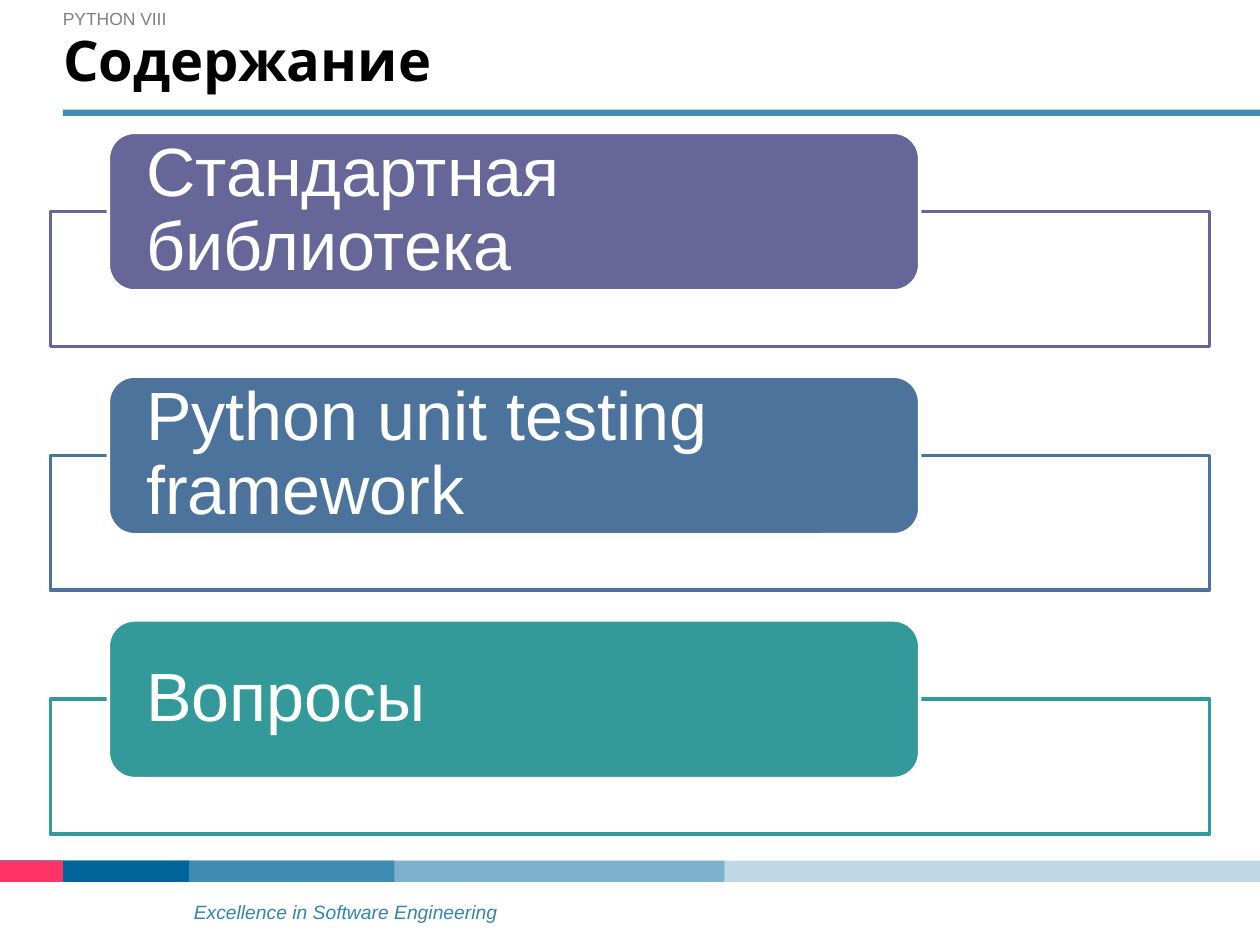
from pptx import Presentation
from pptx.dml.color import RGBColor as Rgb
from pptx.enum.shapes import MSO_SHAPE as Geo
from pptx.enum.text import MSO_ANCHOR as Anchor, PP_ALIGN as Align
from pptx.util import Inches, Pt

HUES = {
    "white": "FFFFFF", "black": "000000", "gray": "808080",
    "violet": "666699", "blue": "4B739B", "teal": "339999",
    "rule": "408CB3", "motto": "3385AD", "red": "FF3366", "navy": "006699",
    "mid": "3F8CB2", "light": "7EB2CC", "pale": "BFD9E6",
}
TOPICS = [
    ("Стандартная библиотека", "violet"),
    ("Python unit testing framework", "blue"),
    ("Вопросы", "teal"),
]
BANDS = [(10, "pale"), (5.75, "light"), (3.13, "mid"), (1.5, "navy"), (0.5, "red")]


def write(shape, text, size, hue, font="Arial", bold=False, italic=False,
          pads=(0.1, 0.05, 0.1, 0.05), anchor=Anchor.TOP, lead=None):
    frame = shape.text_frame
    frame.word_wrap = True
    frame.vertical_anchor = anchor
    (frame.margin_left, frame.margin_top,
     frame.margin_right, frame.margin_bottom) = [Inches(pad) for pad in pads]
    para = frame.paragraphs[0]
    para.alignment = Align.LEFT
    para.line_spacing = lead
    run = para.add_run()
    run.text = text
    face = run.font
    face.name, face.size, face.bold, face.italic = font, Pt(size), bold, italic
    face.color.rgb = Rgb.from_string(HUES[hue])


def block(slide, box, fill, line=None, kind=Geo.RECTANGLE):
    shape = slide.shapes.add_shape(kind, *[Inches(val) for val in box])
    shape.shadow.inherit = False
    shape.fill.solid()
    shape.fill.fore_color.rgb = Rgb.from_string(HUES[fill])
    if line:
        shape.line.color.rgb = Rgb.from_string(HUES[line])
        shape.line.width = Pt(2)
    else:
        shape.line.fill.background()
    return shape


def label(slide, box, text, **style):
    shape = slide.shapes.add_textbox(*[Inches(val) for val in box])
    write(shape, text, **style)


def header(slide, left, top, width):
    label(slide, (left - 0.1, top, width + 0.08, 0.3), "PYTHON VIII",
          size=10, hue="gray", anchor=Anchor.MIDDLE)
    title = slide.shapes.title
    title.left, title.top = Inches(left), Inches(top + 0.3)
    title.width, title.height = Inches(width), Inches(0.62)
    write(title, "Содержание", size=32, hue="black", font="Cabin", bold=True,
          pads=(0, 0.05, 0.1, 0.15), lead=Pt(28))
    block(slide, (left, top + 0.87, width, 0.05), "rule")


def topic(slide, left, top, width, text, hue):
    block(slide, (left, top + 0.63, width, 1.07), "white", line=hue)
    pill = block(slide, (left + 0.46, top, width * 0.7, 1.26), hue,
                 line="white", kind=Geo.ROUNDED_RECTANGLE)
    write(pill, text, size=39, hue="white", pads=(0.24, 0, 0.24, 0),
          anchor=Anchor.MIDDLE, lead=0.9)


def agenda(slide, left, top, width, step):
    for row, (text, hue) in enumerate(TOPICS):
        topic(slide, left, top + row * step, width, text, hue)


def footer(slide, left, top):
    for width, hue in BANDS:
        block(slide, (left, top, width, 0.17), hue)
    label(slide, (left + 1.44, top + 0.35, 2.86, 0.15),
          "Excellence in Software Engineering", size=11, hue="motto",
          italic=True, pads=(0.1, 0, 0.1, 0), lead=0.8)


def main():
    deck = Presentation()
    deck.slide_width, deck.slide_height = Inches(10), Inches(7.5)
    slide = deck.slides.add_slide(deck.slide_layouts[5])
    footer(slide, 0, 6.83)
    header(slide, 0.5, 0, 9.5)
    agenda(slide, 0.4, 1.05, 9.2, 1.935)
    deck.save("out.pptx")


main()
